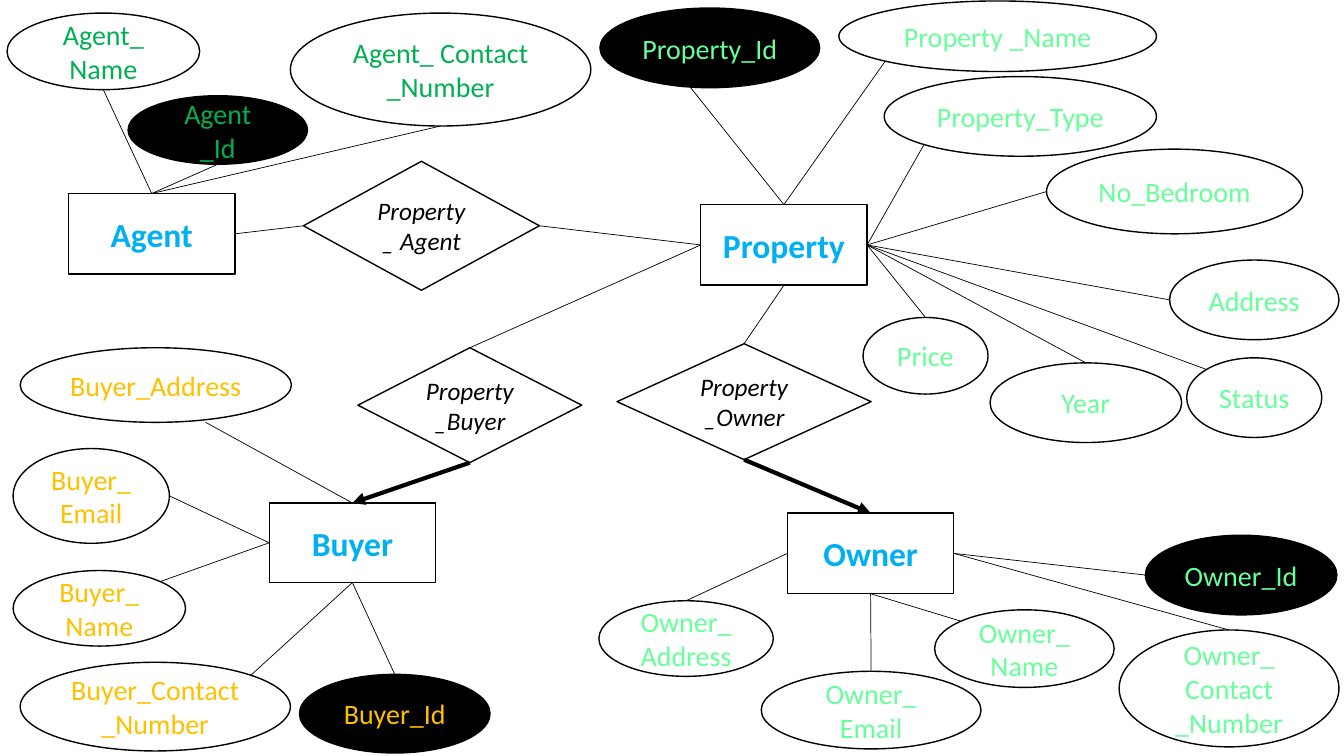
from collections import namedtuple
from dataclasses import dataclass

from lxml import etree
from pptx import Presentation
from pptx.dml.color import RGBColor
from pptx.enum import shapes, text
from pptx.oxml import ns
from pptx.util import Inches, Pt


@dataclass(frozen=True)
class Theme:
    """Colours, type sizes and line widths of the diagram."""
    font: str = "Calibri"
    paper: str = "FFFFFF"
    ink: str = "000000"
    entity: str = "00B0F0"
    agent: str = "00B050"
    buyer: str = "FFC000"
    mint: str = "66FF99"
    entity_size: float = 24
    attribute_size: float = 20
    relation_size: float = 18
    outline: float = 1
    thin: float = 0.5
    thick: float = 3


THEME = Theme()
KIND = shapes.MSO_SHAPE
SITES = {
    "top": (0.5, 0), "bottom": (0.5, 1), "left": (0, 0.5), "right": (1, 0.5),
    "top left": (0.146, 0.146), "top right": (0.854, 0.146),
    "bottom left": (0.146, 0.854), "bottom right": (0.854, 0.854),
    "lower right": (0.684, 1),
}


class Box(namedtuple("Box", "left top width height")):
    """A rectangle in inches."""

    def site(self, name):
        """Return the point of a named connection site."""
        across, down = SITES[name]
        return self.left + across * self.width, self.top + down * self.height

    def inside(self, region):
        """Return this box moved from region to slide coordinates."""
        return self._replace(left=region.left + self.left, top=region.top + self.top)


def color(value):
    """Turn a hex string into a colour."""
    return RGBColor.from_string(value)


def write_text(shape, words, *, size, tint, bold=False, italic=False):
    """Centre words in a shape, one paragraph per line."""
    frame = shape.text_frame
    frame.word_wrap = True
    frame.vertical_anchor = text.MSO_ANCHOR.MIDDLE
    for index, line in enumerate(words.split("\n")):
        para = frame.add_paragraph() if index else frame.paragraphs[0]
        para.alignment = text.PP_ALIGN.CENTER
        span = para.add_run()
        span.text = line
        span.font.name, span.font.size = THEME.font, Pt(size)
        span.font.bold, span.font.italic = bold, italic
        span.font.color.rgb = color(tint)


def draw_node(page, kind, box, words, fill=THEME.paper, **style):
    """Draw one outlined and labelled shape."""
    shape = page.shapes.add_shape(kind, *map(Inches, box))
    shape.shadow.inherit = False
    shape.fill.solid()
    shape.fill.fore_color.rgb = color(fill)
    shape.line.color.rgb = color(THEME.ink)
    shape.line.width = Pt(THEME.outline)
    write_text(shape, words, **style)


def draw_link(page, start, end, arrow=False):
    """Join two points, thickly and with an arrowhead if asked."""
    link = page.shapes.add_connector(
        shapes.MSO_CONNECTOR.STRAIGHT, *map(Inches, start + end))
    link.line.color.rgb = color(THEME.ink)
    link.line.width = Pt(THEME.thick if arrow else THEME.thin)
    if arrow:
        etree.SubElement(link.line._get_or_add_ln(), ns.qn("a:tailEnd"), type="triangle")
    etree.SubElement(link._element.spPr, ns.qn("a:effectLst"))


def draw_entity(page, region, name, place, tint, attributes):
    """Draw an entity with its attributes in a region and return its box."""
    entity = Box(*place).inside(region)
    for words, spot, start, end in attributes:
        box = Box(*spot).inside(region)
        is_key = words.endswith("_Id")
        draw_node(page, KIND.OVAL, box, words, THEME.ink if is_key else THEME.paper,
                  size=THEME.attribute_size, tint=tint)
        draw_link(page, box.site(start), entity.site(end))
    draw_node(page, KIND.RECTANGLE, entity, name,
              size=THEME.entity_size, tint=THEME.entity, bold=True)
    return entity


def draw_relation(page, box, words, source, target, ends, arrow):
    """Draw a relationship diamond linked to a source and a target point."""
    draw_node(page, KIND.DIAMOND, box, words,
              size=THEME.relation_size, tint=THEME.ink, italic=True)
    draw_link(page, source, box.site(ends[0]))
    draw_link(page, box.site(ends[1]), target, arrow)


AGENT = [
    ("Agent_ Contact _Number", (2.88, 0.13, 2.98, 1.12), "bottom", "top"),
    ("Agent_ Name", (0.07, 0.13, 1.91, 0.76), "bottom", "top"),
    ("Agent _Id", (1.27, 0.95, 1.78, 0.68), "bottom", "top"),
]
PROPERTY = [
    ("Property_Id", (0.05, 0.08, 2.18, 0.79), "bottom left", "top"),
    ("Property _Name", (2.42, 0.01, 3.15, 0.7), "bottom left", "top"),
    ("Property_Type", (2.87, 0.76, 2.7, 0.79), "bottom left", "right"),
    ("No_Bedroom", (4.48, 1.48, 2.54, 0.84), "left", "right"),
    ("Address", (5.7, 2.58, 1.68, 0.79), "left", "right"),
    ("Status", (5.87, 3.55, 1.34, 0.79), "top left", "right"),
    ("Year", (3.92, 3.6, 1.9, 0.79), "top", "right"),
    ("Price", (2.66, 3.15, 1.24, 0.76), "top", "right"),
]
PROPERTY[0] = PROPERTY[0][:2] + ("key foot", "top")
SITES["key foot"] = (0.413, 1)
BUYER = [
    ("Buyer_Address", (0.2, 0.05, 2.69, 0.74), "lower right", "top"),
    ("Buyer_ Email", (0.13, 1.05, 1.55, 0.94), "right", "left"),
    ("Buyer_ Name", (0.13, 2.26, 1.71, 0.75), "top right", "left"),
    ("Buyer_Contact _Number", (0.2, 3.17, 2.68, 0.88), "top right", "bottom"),
    ("Buyer_Id", (2.97, 3.29, 1.89, 0.78), "top", "bottom"),
]
OWNER = [
    ("Owner_ Address", (0.04, 0.96, 1.73, 0.75), "top", "left"),
    ("Owner_ Email", (1.65, 1.66, 2.18, 0.77), "top", "bottom"),
    ("Owner_ Name", (3.37, 1.05, 1.78, 0.77), "top left", "bottom"),
    ("Owner_\nContact _Number", (5.2, 1.25, 2.18, 1.16), "top", "right"),
    ("Owner_Id", (5.46, 0.31, 1.9, 0.79), "left", "right"),
]


def main():
    """Build the entity-relationship slide."""
    deck = Presentation()
    deck.slide_width, deck.slide_height = Inches(13.33), Inches(7.5)
    page = deck.slides.add_slide(deck.slide_layouts[6])

    agent = draw_entity(page, Box(0, 0, 5.9, 3.4), "Agent",
                        (0.68, 1.92, 1.65, 0.8), THEME.agent, AGENT)
    estate = draw_entity(page, Box(5.9, 0, 7.43, 5), "Property",
                         (1.05, 2.03, 1.65, 0.8), THEME.mint, PROPERTY)
    buyer = draw_entity(page, Box(0, 3.4, 5.9, 4.1), "Buyer",
                        (2.67, 1.59, 1.65, 0.79), THEME.buyer, BUYER)
    owner = draw_entity(page, Box(5.9, 5, 7.43, 2.5), "Owner",
                        (1.91, 0.09, 1.65, 0.8), THEME.mint, OWNER)

    draw_relation(page, Box(3.01, 1.6, 2.34, 1.28), "Property_ Agent",
                  agent.site("right"), estate.site("left"), ("left", "right"), False)
    draw_relation(page, Box(3.55, 3.45, 2.22, 1.14), "Property _Buyer",
                  estate.site("left"), buyer.site("top"), ("top", "bottom"), True)
    draw_relation(page, Box(6.12, 3.41, 2.52, 1.15), "Property _Owner",
                  estate.site("bottom"), owner.site("top"), ("top", "bottom"), True)
    deck.save("out.pptx")


if __name__ == "__main__":
    main()
